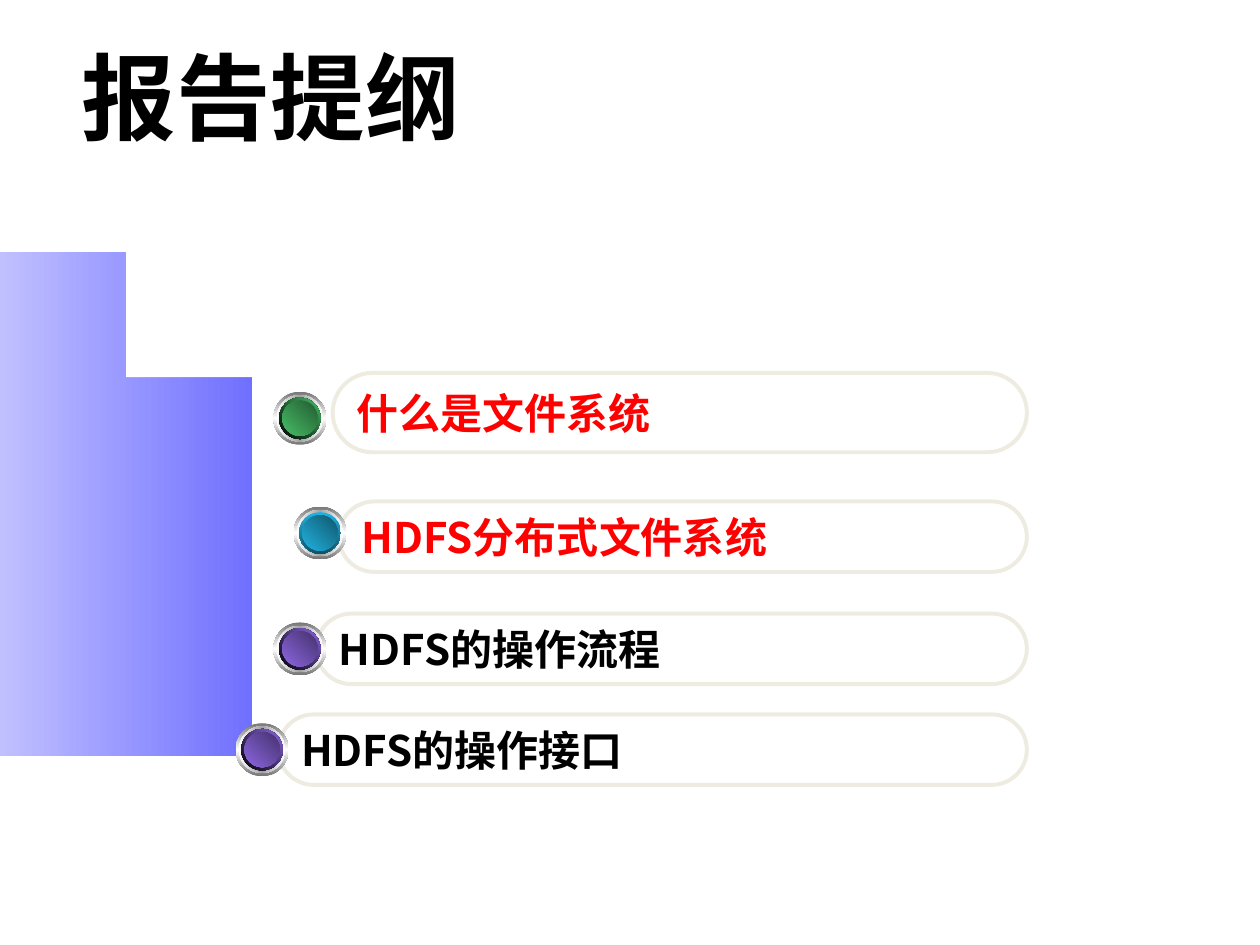
import math
from lxml import etree
from pptx import Presentation
from pptx import util as u
from pptx.dml import color
from pptx.enum import shapes, text
from pptx.oxml import ns

FONT = "Noto Sans CJK SC"
rgb = color.RGBColor.from_string


def write(frame, words, size=24, colour="000000"):
    frame.vertical_anchor = text.MSO_ANCHOR.MIDDLE
    paragraph = frame.paragraphs[0]
    paragraph.alignment = text.PP_ALIGN.LEFT
    run = paragraph.add_run()
    run.text = words
    run.font.size, run.font.bold, run.font.name = u.Pt(size), True, FONT
    run.font.color.rgb = rgb(colour)
    etree.SubElement(run.font._element, ns.qn("a:ea"), typeface=FONT)


def shade(shape, angle, colours):
    shape.shadow.inherit = False
    shape.line.fill.background()
    shape.fill.gradient()
    shape.fill.gradient_angle = (360 - angle) % 360
    stops = shape.fill._xPr.find(ns.qn("a:gradFill")).find(ns.qn("a:gsLst"))
    for old in list(stops):
        stops.remove(old)
    for i, value in enumerate(colours):
        position = str(100000 * i // (len(colours) - 1))
        stop = etree.SubElement(stops, ns.qn("a:gs"), pos=position)
        etree.SubElement(stop, ns.qn("a:srgbClr"), val=value)


deck = Presentation()
deck.slide_width, deck.slide_height = u.Inches(10), u.Inches(7.5)
slide = deck.slides.add_slide(deck.slide_layouts[5])

title = slide.shapes.title
title.left, title.top = u.Inches(0.55), u.Inches(0.29)
title.width, title.height = u.Inches(8.08), u.Inches(0.94)
title.text_frame.auto_size = text.MSO_AUTO_SIZE.NONE
write(title.text_frame, "报告提纲", size=54)

arc = [(0.01 + 2.14 * math.cos(math.radians(a)), 4.23 + 2.2 * math.sin(math.radians(a)))
       for a in range(-90, 91, 2)]
outline = slide.shapes.build_freeform(*arc[0], scale=u.Inches(1))
outline.add_line_segments(arc[1:], close=True)
shade(outline.convert_to_shape(), 0, ["C0C0FF", "7070FF"])

GREEN = (315, ["000000", "48BE67"]), ["48BE67", "235C32"]
BLUE = (90, ["21B3E1", "0F5368"]), ["21B3E1", "10576D"]
PURPLE = (315, ["000000", "8D67E1"]), ["8D67E1", "45326D"]
topics = [
    ("什么是文件系统", "FF0000", 2.64, 2.96, 0.63, 2.17, 3.11, GREEN),
    ("HDFS分布式文件系统", "FF0000", 2.69, 3.98, 0.56, 2.33, 4.02, BLUE),
    ("HDFS的操作流程", "000000", 2.51, 4.87, 0.56, 2.17, 4.94, PURPLE),
    ("HDFS的操作接口", "000000", 2.21, 5.67, 0.56, 1.87, 5.74, PURPLE),
]
PILL_RIGHT, BALL = 8.15, 0.42

for words, ink, left, top, height, ball_left, ball_top, (rim, face) in topics:
    pill = slide.shapes.add_shape(
        shapes.MSO_SHAPE.ROUNDED_RECTANGLE, u.Inches(left), u.Inches(top),
        u.Inches(PILL_RIGHT - left), u.Inches(height))
    pill.adjustments[0] = 0.5
    pill.shadow.inherit = False
    pill.fill.background()
    pill.line.color.rgb = rgb("EEECE1")
    pill.line.width = u.Pt(2.25)
    pill.text_frame.word_wrap = False
    write(pill.text_frame, words, colour=ink)

    ball = slide.shapes.add_group_shape()
    layers = [
        (BALL, 90, ["767676", "FFFFFF", "767676"]),
        (0.37, 0, ["FFFFFF", "A2A2A2", "FFFFFF"]),
        (0.33, *rim),
        (0.28, 315, face),
    ]
    for size, angle, colours in layers:
        inset = (BALL - size) / 2
        disc = ball.shapes.add_shape(
            shapes.MSO_SHAPE.OVAL, u.Inches(ball_left + inset),
            u.Inches(ball_top + inset), u.Inches(size), u.Inches(size))
        shade(disc, angle, colours)

deck.save("out.pptx")
